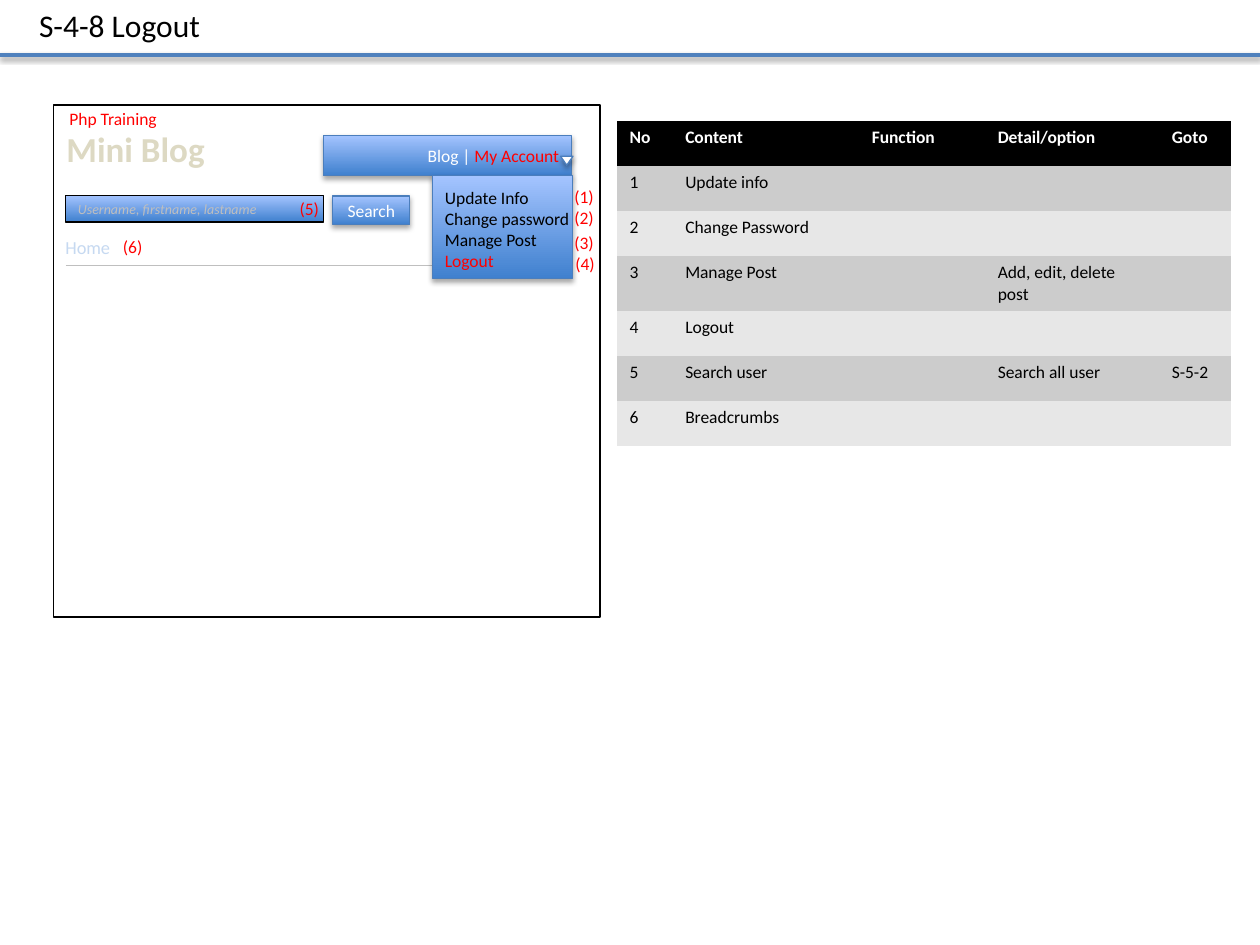
from pptx import Presentation
from pptx.dml.color import RGBColor
from pptx.enum.shapes import MSO_CONNECTOR, MSO_SHAPE
from pptx.enum.text import MSO_ANCHOR, MSO_AUTO_SIZE, PP_ALIGN
from pptx.oxml import parse_xml
from pptx.oxml.ns import nsdecls
from pptx.util import Cm, Pt

BLACK = RGBColor(0x00, 0x00, 0x00)
WHITE = RGBColor(0xFF, 0xFF, 0xFF)
RED = RGBColor(0xFF, 0x00, 0x00)
GREY = RGBColor(0xBF, 0xBF, 0xBF)
CREAM = RGBColor(0xDD, 0xD9, 0xC3)
PALE_BLUE = RGBColor(0xC6, 0xD9, 0xF1)
HEADER_BLUE = RGBColor(0x4F, 0x81, 0xBD)
EDGE_BLUE = RGBColor(0x4B, 0x7E, 0xBC)
GRADIENT = (RGBColor(0x3F, 0x80, 0xCE), RGBColor(0xA4, 0xC4, 0xFF))
BAND_DARK = RGBColor(0xCC, 0xCC, 0xCC)
BAND_LIGHT = RGBColor(0xE7, 0xE7, 0xE7)
NO_STYLE = "{2D5ABB26-0587-4C30-8999-92F81FD0307C}"
LEFT, CENTER, RIGHT = PP_ALIGN.LEFT, PP_ALIGN.CENTER, PP_ALIGN.RIGHT

SMALL = {"name": "Calibri", "size": Pt(10)}
BODY = SMALL | {"color": BLACK}
MARKED = SMALL | {"color": RED}
LIGHT = SMALL | {"color": WHITE}

HEADING = [[("S-4-8 Logout", BODY | {"size": Pt(18)})]]
SITE = [[("Php Training", MARKED)]]
BLOG_TITLE = [[("Mini Blog", SMALL | {"size": Pt(20), "bold": True, "color": CREAM})]]
SEARCH_HINT = [[("Username, firstname, lastname",
                 SMALL | {"size": Pt(8), "italic": True, "color": GREY})]]
SEARCH = [[("Search", LIGHT)]]
NAVIGATION = [[("Blog | ", LIGHT), ("My Account", MARKED)]]
HOME = [[("Home", SMALL | {"size": Pt(10.5), "color": PALE_BLUE})]]
MENU = [[("Update Info", BODY)], [("Change password", BODY)],
        [("Manage Post", BODY)], [("Logout", MARKED)]]

MARKERS = {
    "(1)": (11.33, 3.63), "(2)": (11.33, 4.05), "(3)": (11.33, 4.55),
    "(4)": (11.35, 4.98), "(5)": (5.79, 3.86), "(6)": (2.23, 4.63),
}
COLUMN_WIDTHS = (1.12, 3.76, 2.54, 3.51, 1.45)
ROW_HEIGHT = 0.91
ROWS = [
    ("No", "Content", "Function", "Detail/option", "Goto"),
    ("1", "Update info", "", "", ""),
    ("2", "Change Password", "", "", ""),
    ("3", "Manage Post", "", "Add, edit, delete post", ""),
    ("4", "Logout", "", "", ""),
    ("5", "Search user", "", "Search all user", "S-5-2"),
    ("6", "Breadcrumbs", "", "", ""),
]


def style_font(font, format_values):
    for attribute, value in format_values.items():
        if attribute == "color":
            font.color.rgb = value
        else:
            setattr(font, attribute, value)


def write(text_frame, paragraphs, alignment=LEFT):
    for index, runs in enumerate(paragraphs):
        paragraph = text_frame.add_paragraph() if index else text_frame.paragraphs[0]
        paragraph.alignment = alignment
        for text, format_values in runs:
            run = paragraph.add_run()
            run.text = text
            style_font(run.font, format_values)


def set_effects(shape, opacity=None, distance=1.8):
    effects = shape._element.spPr.get_or_add_effectLst()
    if opacity:
        effects.append(parse_xml(
            f'<a:outerShdw {nsdecls("a")} blurRad="{Pt(3.1)}" dist="{Pt(distance)}" '
            f'dir="5400000" rotWithShape="0"><a:srgbClr val="000000">'
            f'<a:alpha val="{opacity * 1000}"/></a:srgbClr></a:outerShdw>'))


def add_text(slide, box, paragraphs, alignment=LEFT, wrap=False):
    text_frame = slide.shapes.add_textbox(*map(Cm, box)).text_frame
    text_frame.word_wrap = wrap
    text_frame.auto_size = MSO_AUTO_SIZE.SHAPE_TO_FIT_TEXT
    write(text_frame, paragraphs, alignment)


def add_box(slide, box, paragraphs=(), alignment=LEFT, preset=MSO_SHAPE.RECTANGLE,
            fill=None, edge=EDGE_BLUE, opacity=35):
    shape = slide.shapes.add_shape(preset, *map(Cm, box))
    if fill is None:
        shape.fill.gradient()
        shape.fill.gradient_angle = 90
        for stop, color in zip(shape.fill.gradient_stops, GRADIENT):
            stop.color.rgb = color
    else:
        shape.fill.solid()
        shape.fill.fore_color.rgb = fill
    shape.line.color.rgb = edge
    shape.line.width = Pt(0.75)
    set_effects(shape, opacity)
    shape.text_frame.vertical_anchor = MSO_ANCHOR.MIDDLE
    write(shape.text_frame, paragraphs, alignment)
    return shape


def add_rule(slide, left, right, top, color, width, opacity=None):
    rule = slide.shapes.add_connector(
        MSO_CONNECTOR.STRAIGHT, Cm(left), Cm(top), Cm(right), Cm(top))
    rule.line.color.rgb = color
    rule.line.width = Pt(width)
    set_effects(rule, opacity, 1.6)


def add_content_table(slide):
    frame = slide.shapes.add_table(
        len(ROWS), len(COLUMN_WIDTHS), Cm(12.44), Cm(2.43),
        Cm(sum(COLUMN_WIDTHS)), Cm(ROW_HEIGHT * len(ROWS)))
    table = frame.table
    table._tbl.tblPr[0].text = NO_STYLE
    for column, width in zip(table.columns, COLUMN_WIDTHS):
        column.width = Cm(width)
    for row_index, texts in enumerate(ROWS):
        table.rows[row_index].height = Cm(ROW_HEIGHT)
        header = row_index == 0
        band = BLACK if header else (BAND_LIGHT, BAND_DARK)[row_index % 2]
        font = (LIGHT if header else BODY) | {"bold": header}
        for column_index, text in enumerate(texts):
            cell = table.cell(row_index, column_index)
            cell.fill.solid()
            cell.fill.fore_color.rgb = band
            if text:
                write(cell.text_frame, [[(text, font)]])
            else:
                cell.text_frame.paragraphs[0]._p.append(
                    parse_xml(f'<a:endParaRPr {nsdecls("a")} sz="1000"/>'))


def main():
    presentation = Presentation()
    presentation.slide_width = Cm(25.4)
    presentation.slide_height = Cm(19.05)
    slide = presentation.slides.add_slide(presentation.slide_layouts[6])

    add_rule(slide, 0, 25.4, 1.11, HEADER_BLUE, 2, opacity=38)
    add_text(slide, (0.54, 0, 3.78, 1.02), HEADING)
    add_box(slide, (1.08, 2.12, 11.02, 10.32), fill=WHITE, edge=BLACK, opacity=None)
    add_text(slide, (1.11, 2.06, 2.34, 0.69), SITE, CENTER)
    add_text(slide, (1.09, 2.44, 3.3, 1.1), BLOG_TITLE)
    add_box(slide, (1.32, 3.94, 5.21, 0.54), SEARCH_HINT, edge=BLACK, opacity=None)
    add_box(slide, (6.71, 3.95, 1.55, 0.58), SEARCH, CENTER)
    add_box(slide, (6.52, 2.73, 5, 0.81), NAVIGATION, RIGHT)
    add_rule(slide, 1.33, 11.53, 5.35, GREY, 0.25)
    add_text(slide, (1.07, 4.64, 1.42, 0.71), HOME)
    add_content_table(slide)
    arrow = add_box(slide, (11.3, 3.15, 0.25, 0.18),
                    preset=MSO_SHAPE.ISOSCELES_TRIANGLE, fill=WHITE)
    arrow.rotation = 180
    add_box(slide, (8.72, 3.54, 2.82, 2.08))
    add_text(slide, (8.72, 3.64, 3.05, 1.96), MENU, wrap=True)
    for label, position in MARKERS.items():
        add_text(slide, (*position, 0.91, 0.69), [[(label, MARKED)]])
    presentation.save("out.pptx")


if __name__ == "__main__":
    main()
